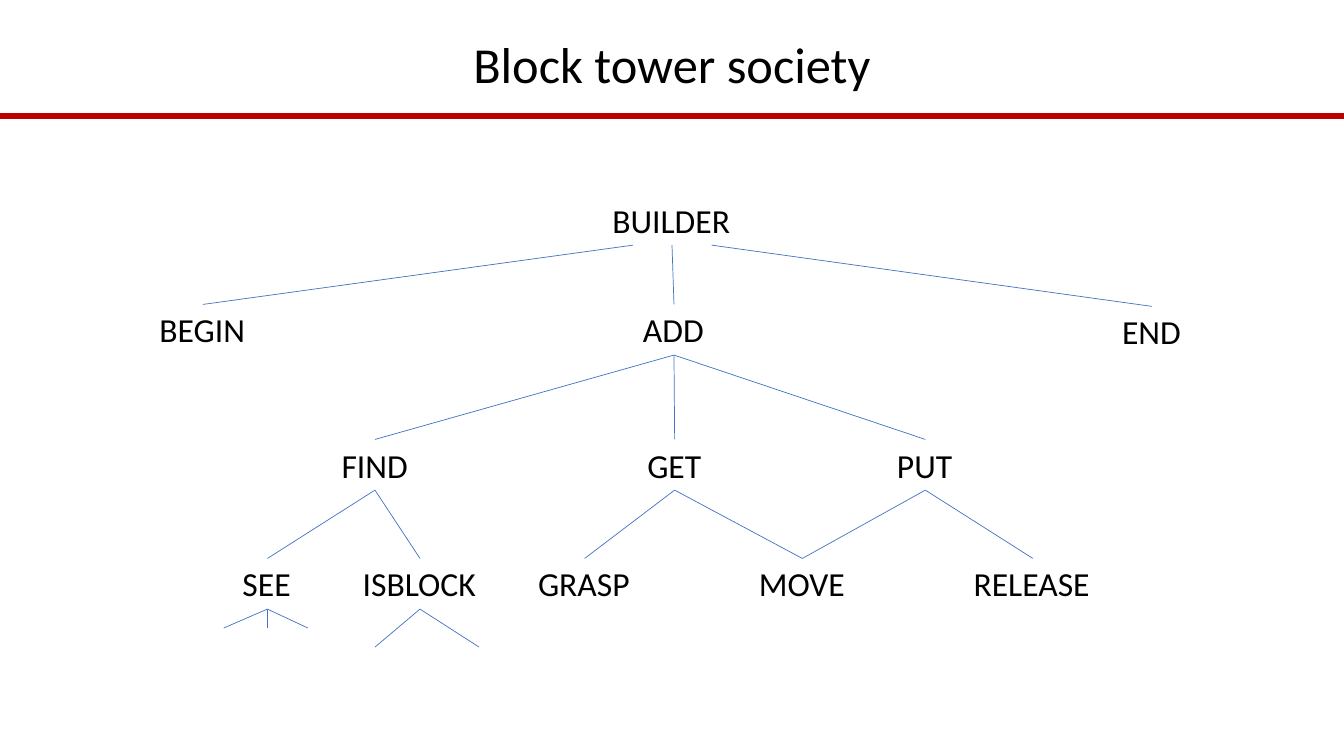
from lxml.etree import SubElement
from pptx import Presentation
from pptx.dml.color import RGBColor
from pptx.enum.shapes import MSO_CONNECTOR
from pptx.enum.text import MSO_ANCHOR, MSO_AUTO_SIZE, PP_ALIGN
from pptx.oxml.ns import qn
from pptx.util import Inches, Pt

WIDTH, HEIGHT = Inches(13.33), Inches(7.5)
FONT = "Calibri"
BLACK, RED, BLUE = "000000", "BB0000", "4472C4"
TOP, BOTTOM = 0, 2

# Horizontal and vertical lengths are percentages of the slide's width and height.
LABEL_HEIGHT = 6.7
BUILDER_ROW, ADD_ROW, FIND_ROW, SEE_ROW = 25.73, 40.27, 58.13, 73.87

# name: (centre, top, width)
AGENTS = {
    "BUILDER": (50, BUILDER_ROW, 10.35),
    "BEGIN": (15.1, ADD_ROW, 7.95),
    "ADD": (50.15, ADD_ROW, 6.1),
    "END": (85.7, ADD_ROW + 0.26, 5.9),
    "FIND": (27.9, FIND_ROW, 6.45),
    "GET": (50.2, FIND_ROW, 5.55),
    "PUT": (68.85, FIND_ROW, 5.7),
    "SEE": (19.9, SEE_ROW, 5.2),
    "ISBLOCK": (31.25, SEE_ROW, 10),
    "GRASP": (43.5, SEE_ROW, 8.4),
    "MOVE": (59.7, SEE_ROW, 7.95),
    "RELEASE": (76.85, SEE_ROW, 10.3),
}
HELPERS = {
    "BUILDER": ["ADD"],
    "ADD": ["FIND", "GET", "PUT"],
    "FIND": ["SEE", "ISBLOCK"],
    "GET": ["GRASP", "MOVE"],
    "PUT": ["MOVE", "RELEASE"],
}
# Branches that start beside the middle of BUILDER: helper and start
OUTER_BRANCHES = {"BEGIN": 47.1, "END": 52.95}
# Branches without a named helper: agent, then end height and end columns
OPEN_BRANCHES = {
    "SEE": (83.07, [16.65, 19.9, 22.9]),
    "ISBLOCK": (85.6, [27.9, 35.65]),
}


def across(percent):
    return round(WIDTH * percent / 100)


def down(percent):
    return round(HEIGHT * percent / 100)


def color(hex_string):
    return RGBColor.from_string(hex_string)


def add_text(slide, text, left, top, width, height, size):
    box = slide.shapes.add_textbox(across(left), down(top), across(width), down(height))
    paragraph = box.text_frame.paragraphs[0]
    paragraph.text = text
    paragraph.font.name = FONT
    paragraph.font.size = Pt(size)
    paragraph.font.color.rgb = color(BLACK)
    return box


def add_title(slide, text):
    box = add_text(slide, text, 6.9, 4.53, 86.2, 8.8, 36)
    box.text_frame.word_wrap = True
    box.text_frame.vertical_anchor = MSO_ANCHOR.MIDDLE
    paragraph = box.text_frame.paragraphs[0]
    paragraph.alignment = PP_ALIGN.CENTER
    paragraph.line_spacing = 0.9


def add_agent(slide, name):
    centre, top, width = AGENTS[name]
    box = add_text(slide, name, centre - width / 2, top, width, LABEL_HEIGHT, 24)
    box.text_frame.word_wrap = False
    box.text_frame.auto_size = MSO_AUTO_SIZE.SHAPE_TO_FIT_TEXT
    return box


def add_line(slide, start=(0, 0), end=(0, 0), line_color=BLUE, weight=0.5):
    line = slide.shapes.add_connector(
        MSO_CONNECTOR.STRAIGHT,
        across(start[0]), down(start[1]), across(end[0]), down(end[1]),
    )
    line.line.color.rgb = color(line_color)
    line.line.width = Pt(weight)
    SubElement(line._element.spPr, qn("a:effectLst"))
    return line


def add_branches(slide, boxes):
    for agent, helpers in HELPERS.items():
        for helper in helpers:
            line = add_line(slide)
            line.begin_connect(boxes[agent], BOTTOM)
            line.end_connect(boxes[helper], TOP)
    for helper, start in OUTER_BRANCHES.items():
        line = add_line(slide, (start, BUILDER_ROW + LABEL_HEIGHT))
        line.end_connect(boxes[helper], TOP)
    for agent, (end_height, columns) in OPEN_BRANCHES.items():
        for column in columns:
            line = add_line(slide, end=(column, end_height))
            line.begin_connect(boxes[agent], BOTTOM)


def main():
    presentation = Presentation()
    presentation.slide_width, presentation.slide_height = WIDTH, HEIGHT
    slide = presentation.slides.add_slide(presentation.slide_layouts[6])
    add_line(slide, (0, 15.33), (100, 15.33), RED, 4)
    add_title(slide, "Block tower society")
    boxes = {name: add_agent(slide, name) for name in AGENTS}
    add_branches(slide, boxes)
    presentation.save("out.pptx")


if __name__ == "__main__":
    main()
